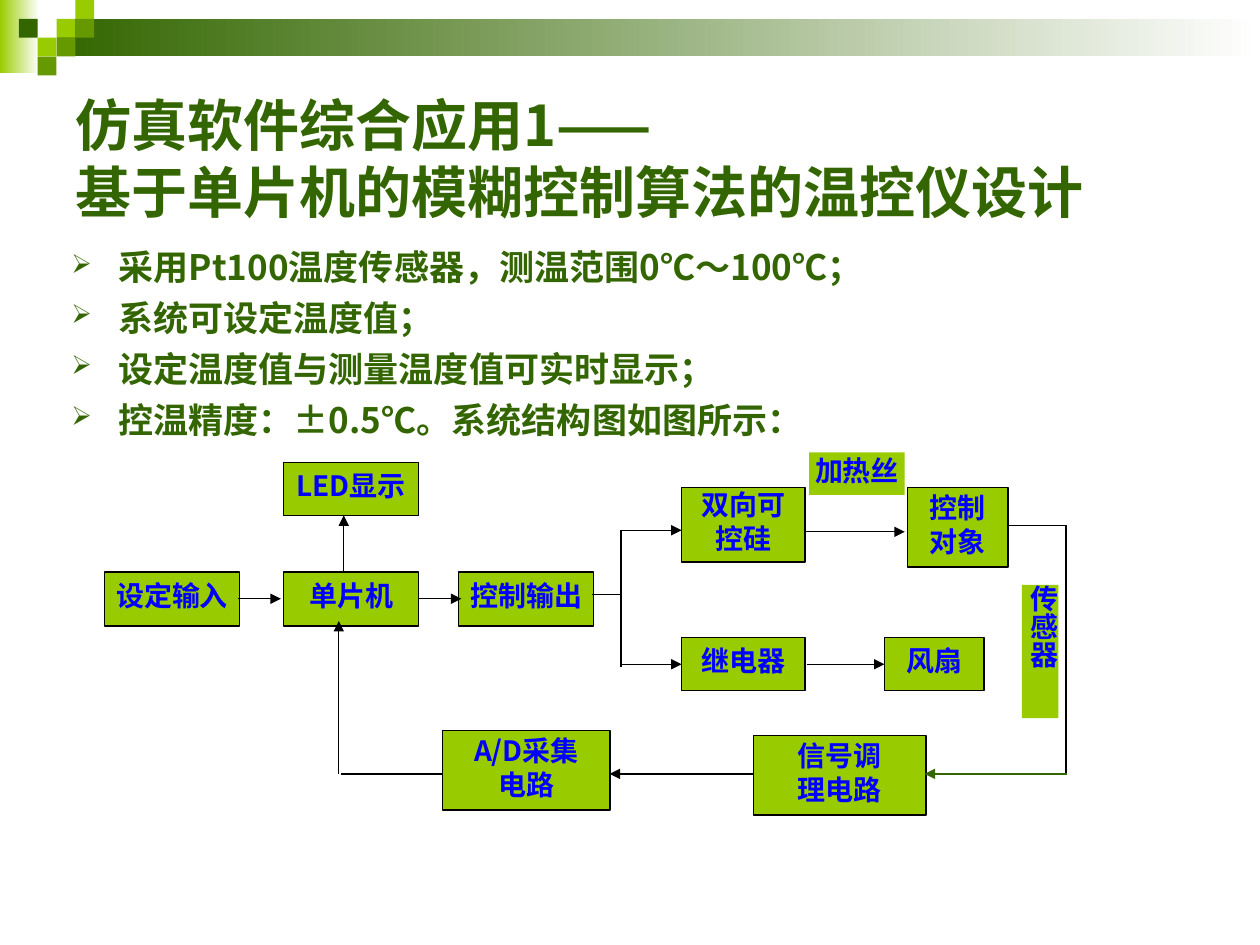
from lxml import etree
from pptx import Presentation
from pptx import util as u
from pptx.dml.color import RGBColor
from pptx.enum import shapes, text
from pptx.oxml.ns import qn

HUES = {"dark": "336600", "mid": "669900", "lime": "99CC00",
        "ink": "0000FF", "black": "000000", "white": "FFFFFF"}
SANS, SERIF = "Noto Sans CJK SC", "Times New Roman"


class Deck:
    """Holds the style and the current slide, and draws each kind of element."""

    def __init__(self, wide, high):
        self.file = Presentation()
        self.file.slide_width, self.file.slide_height = u.Cm(wide), u.Cm(high)
        self.page = self.file.slides.add_slide(self.file.slide_layouts[6])

    def hue(self, name):
        return RGBColor.from_string(HUES[name])

    def rect(self, area, fill, line=None):
        item = self.page.shapes.add_shape(
            shapes.MSO_SHAPE.RECTANGLE, *map(u.Cm, area))
        item.shadow.inherit = False
        item.fill.solid()
        item.fill.fore_color.rgb = self.hue(fill)
        if line:
            item.line.color.rgb = self.hue(line)
            item.line.width = u.Pt(0.75)
        else:
            item.line.fill.background()
        return item

    def fade(self, area, hue):
        fill = self.rect(area, hue).fill
        fill.gradient()
        fill.gradient_angle = 180
        for stop, name, place in zip(fill.gradient_stops, ("white", hue), (0, 1)):
            stop.color.rgb = self.hue(name)
            stop.position = place

    def font(self, para, size, hue, face):
        para.font.size = u.Pt(size)
        para.font.bold = True
        para.font.color.rgb = self.hue(hue)
        para.font.name = face
        base = para._p.pPr.find(qn("a:defRPr"))
        etree.SubElement(base, qn("a:ea"), typeface=SANS)

    def bullet(self, para):
        props = para._p.get_or_add_pPr()
        props.set("marL", str(u.Cm(0.95)))
        props.set("indent", str(-u.Cm(0.95)))
        tint = etree.SubElement(props, qn("a:buClr"))
        etree.SubElement(tint, qn("a:srgbClr"), val=HUES["dark"])
        etree.SubElement(props, qn("a:buSzPct"), val="75000")
        etree.SubElement(props, qn("a:buChar"), char="➢")

    def words(self, area, lines, size, middle=False, marks=False):
        frame = self.page.shapes.add_textbox(*map(u.Cm, area)).text_frame
        frame.word_wrap = True
        if middle:
            frame.vertical_anchor = text.MSO_ANCHOR.MIDDLE
        for n, line in enumerate(lines):
            para = frame.add_paragraph() if n else frame.paragraphs[0]
            para.text = line
            if n:
                para.space_before = u.Pt(5)
            if marks:
                self.bullet(para)
            self.font(para, size, "dark", SANS)

    def box(self, area, label, face=SERIF, line="black", tall=False):
        frame = self.rect(area, "lime", line).text_frame
        frame.margin_left = frame.margin_right = 0
        frame.margin_top = frame.margin_bottom = 0
        frame.vertical_anchor = text.MSO_ANCHOR.MIDDLE
        if tall:
            frame._txBody.bodyPr.set("vert", "eaVert")
        for n, part in enumerate(label.split("\n")):
            para = frame.add_paragraph() if n else frame.paragraphs[0]
            para.text = part
            para.alignment = text.PP_ALIGN.CENTER
            para.line_spacing = 0.8
            if n:
                para.space_before = u.Pt(4)
            self.font(para, 16, "ink", face)

    def link(self, ends, arrow=True, hue="black"):
        item = self.page.shapes.add_connector(
            shapes.MSO_CONNECTOR.STRAIGHT, *map(u.Cm, ends))
        item.line.color.rgb = self.hue(hue)
        item.line.width = u.Pt(0.75)
        if arrow:
            etree.SubElement(item.line._get_or_add_ln(), qn("a:tailEnd"),
                             type="triangle")
        etree.SubElement(item._element.spPr, qn("a:effectLst"))


def main():
    deck = Deck(25.4, 19.05)

    deck.fade((0, 0, 0.79, 1.47), "lime")
    deck.fade((1.14, 0.38, 24.26, 0.76), "dark")
    tile = 0.38
    for col, row, hue in ((3, 1, "lime"), (4, 0, "lime"), (4, 1, "mid"),
                          (2, 2, "lime"), (1, 1, "dark"), (3, 2, "mid"),
                          (2, 3, "mid")):
        deck.rect((col * tile, row * tile, tile, tile), hue)

    deck.words((1.27, 1.27, 22.86, 3.81),
               ["仿真软件综合应用1——\v基于单片机的模糊控制算法的温控仪设计"],
               32, middle=True)
    deck.words((1.19, 4.83, 22.86, 12.62),
               ["采用Pt100温度传感器，测温范围0℃～100℃；",
                "系统可设定温度值；",
                "设定温度值与测量温度值可实时显示；",
                "控温精度：±0.5℃。系统结构图如图所示："],
               20, marks=True)

    for left, label in ((2.11, "设定输入"), (5.72, "单片机"), (9.25, "控制输出")):
        deck.box((left, 11.53, 2.72, 1.09), label)
    for area, label in (((13.74, 9.83, 2.49, 1.5), "双向可\n控硅"),
                        ((13.74, 12.85, 2.49, 1.07), "继电器"),
                        ((18.29, 9.83, 2.03, 1.6), "控制\n对象"),
                        ((17.83, 12.85, 2.01, 1.07), "风扇"),
                        ((15.19, 14.83, 3.48, 1.6), "信号调\n理电路")):
        deck.box(area, label)
    deck.box((5.72, 9.32, 2.72, 1.07), "LED显示", SANS)
    deck.box((8.92, 14.73, 3.38, 1.6), "A/D采集\n电路", SANS)
    deck.box((16.31, 9.12, 1.93, 0.86), "加热丝", line=None)
    deck.box((20.6, 11.79, 0.74, 2.69), "传感器", line=None, tall=True)

    for ends in ((4.8, 12.07, 5.66, 12.07), (8.43, 12.07, 9.3, 12.07),
                 (6.93, 11.56, 6.93, 10.39), (12.52, 10.69, 13.74, 10.69),
                 (12.52, 13.39, 13.74, 13.39), (16.21, 10.72, 18.24, 10.72),
                 (16.26, 13.39, 17.83, 13.39), (15.19, 15.6, 12.29, 15.6),
                 (6.83, 15.6, 6.83, 12.52)):
        deck.link(ends)
    for ends in ((21.49, 10.59, 21.49, 15.6), (11.94, 11.99, 12.52, 11.99),
                 (12.52, 10.69, 12.52, 13.44), (20.29, 10.59, 21.46, 10.59),
                 (8.92, 15.6, 6.88, 15.6)):
        deck.link(ends, arrow=False)
    deck.link((21.51, 15.6, 18.64, 15.6), hue="dark")

    deck.file.save("out.pptx")


if __name__ == "__main__":
    main()
